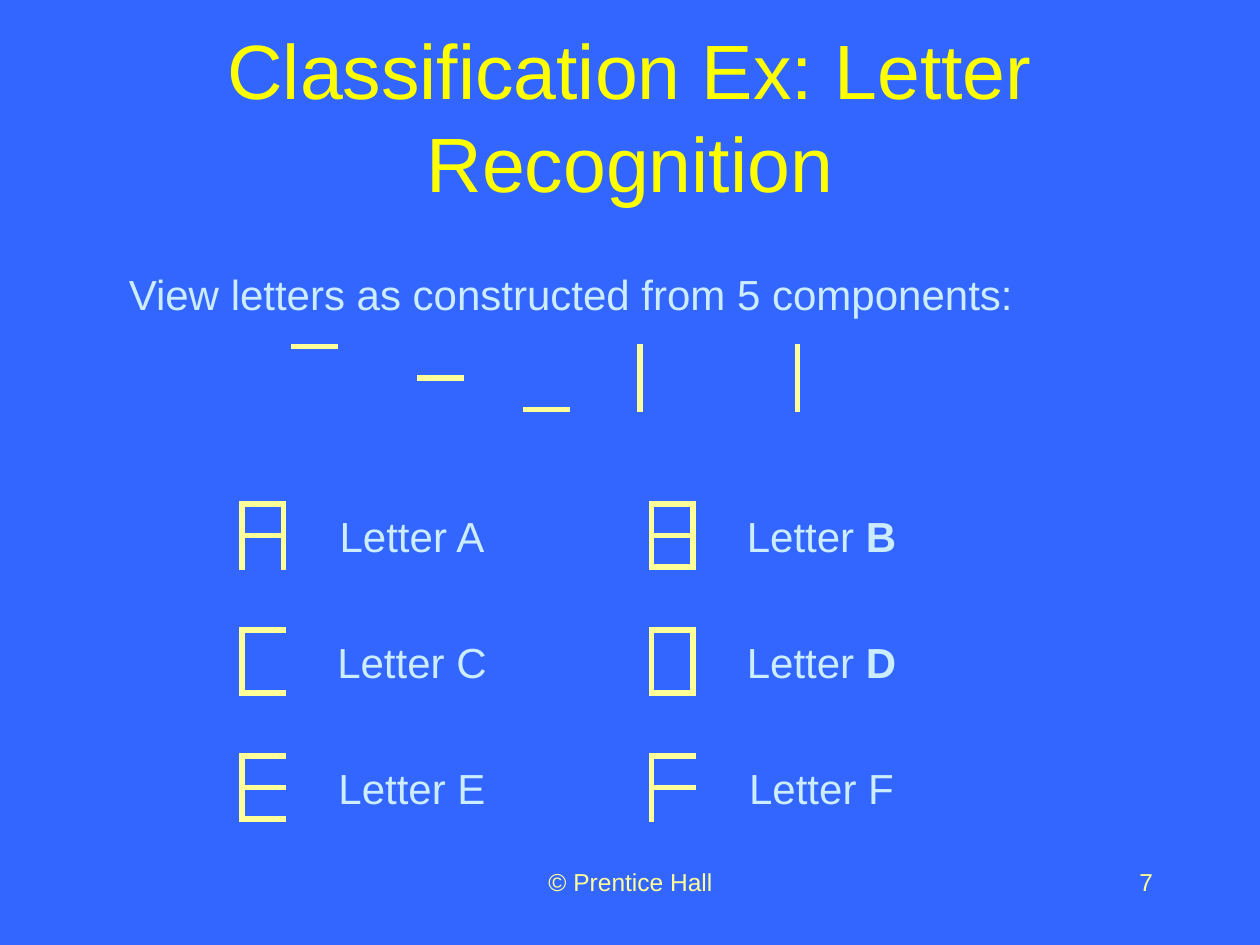
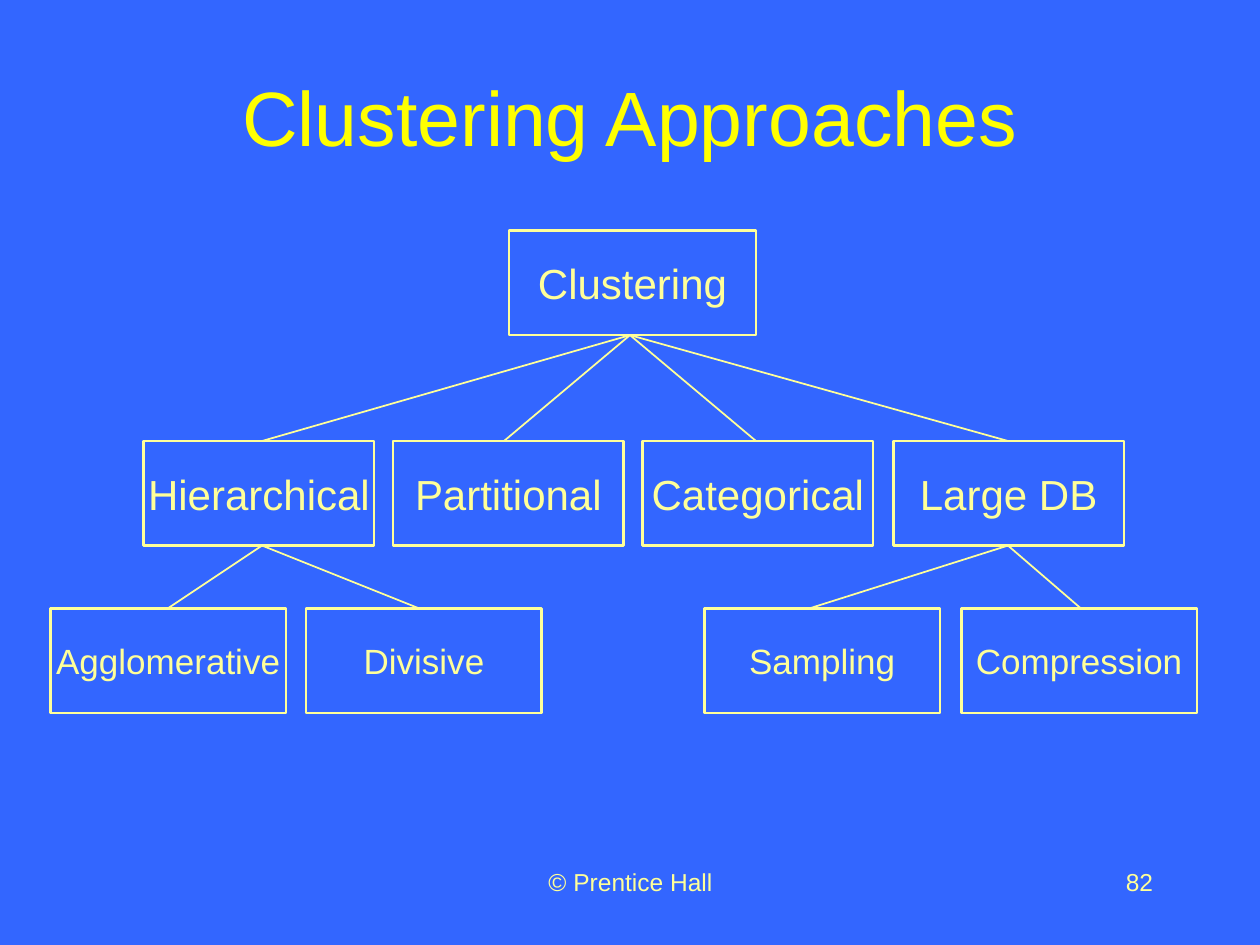
import pptx
import pptx.dml.color
import pptx.enum.shapes
import pptx.enum.text
import pptx.oxml
import pptx.oxml.ns
import pptx.util

# Content: letters built from strokes
LETTER_PAGE = {"title": "Classification Ex: Letter Recognition", "number": "7"}
INTRO = "View letters as constructed from 5 components:"
STROKES = {  # start and end, as shares of a letter's width and height
    "top": ((0, 0), (1, 0)),
    "middle": ((0, 0.5), (1, 0.5)),
    "bottom": ((0, 1), (1, 1)),
    "left": ((0, 0), (0, 1)),
    "right": ((1, 0), (1, 1)),
}
COMPONENT_LEFTS = {"top": 2.33, "middle": 3.33, "bottom": 4.17, "left": 5.08, "right": 6}
LETTERS = [  # letter, bold, strokes; two letters to a row
    ("A", False, "top middle left right"),
    ("B", True, "top middle bottom left right"),
    ("C", False, "top bottom left"),
    ("D", True, "top bottom left right"),
    ("E", False, "top middle bottom left"),
    ("F", False, "top middle left"),
]

# Content: tree of clustering approaches
TREE_PAGE = {"title": "Clustering Approaches", "number": "82"}
LEVELS = [  # top, box width, text size
    {"top": 1.83, "width": 1.96, "size": 24},
    {"top": 3.5, "width": 1.83, "size": 24},
    {"top": 4.83, "width": 1.87, "size": 20},
]
NODES = {  # name: (level, left, x where links join, parent)
    "Clustering": (0, 4.04, 5, None),
    "Hierarchical": (1, 1.14, 2.08, "Clustering"),
    "Partitional": (1, 3.12, 4, "Clustering"),
    "Categorical": (1, 5.1, 6, "Clustering"),
    "Large DB": (1, 7.09, 8, "Clustering"),
    "Agglomerative": (2, 0.4, 1.33, "Hierarchical"),
    "Divisive": (2, 2.43, 3.33, "Hierarchical"),
    "Sampling": (2, 5.59, 6.42, "Large DB"),
    "Compression": (2, 7.63, 8.58, "Large DB"),
}

# Shared look and measures
FOOTER = "© Prentice Hall"
FONT = "Arial"
BLUE, YELLOW, CREAM, PALE = "3366FF", "FFFF00", "FFFF99", "CCECFF"
LETTER_WIDTH, LETTER_HEIGHT = 0.33, 0.5
COMPONENT_TOP = 2.75
LETTER_LEFT, LETTER_TOP, COLUMN_STEP, ROW_STEP = 1.92, 4, 3.25, 1
LABEL_OFFSET, LABEL_WIDTH = 0.66, 1.38
NODE_HEIGHT = 0.83

inch = pptx.util.Inches
ALIGN = pptx.enum.text.PP_ALIGN
ANCHOR = pptx.enum.text.MSO_ANCHOR


def color(hex_value):
    return pptx.dml.color.RGBColor.from_string(hex_value)


def write(box, spans, size, ink, align=ALIGN.CENTER, **frame_format):
    """Fill a box with one paragraph made of (text, bold) spans."""
    frame = box.text_frame
    defaults = {"auto_size": pptx.enum.text.MSO_AUTO_SIZE.NONE, "word_wrap": True}
    for name, value in {**defaults, **frame_format}.items():
        setattr(frame, name, value)
    para = frame.paragraphs[0]
    para.alignment = align
    for text, bold in spans:
        span = para.add_run()
        span.text = text
        for name, value in {"name": FONT, "size": pptx.util.Pt(size), "bold": bold}.items():
            setattr(span.font, name, value)
        span.font.color.rgb = color(ink)


def add_text(page, place, spans, size, ink, **formats):
    box = page.shapes.add_textbox(*map(inch, place))
    write(box, spans, size, ink, **formats)


def add_line(page, start, end, width, cap="flat"):
    line = page.shapes.add_connector(
        pptx.enum.shapes.MSO_CONNECTOR.STRAIGHT, *map(inch, (*start, *end)))
    line.line.color.rgb = color(CREAM)
    line.line.width = pptx.util.Pt(width)
    properties = line.element.spPr
    properties.find(pptx.oxml.ns.qn("a:ln")).set("cap", cap)
    properties.append(pptx.oxml.parse_xml(
        f'<a:effectLst {pptx.oxml.ns.nsdecls("a")}/>'))


def add_page(deck, title, number):
    """Add a slide with background, title, footer and page number."""
    page = deck.slides.add_slide(deck.slide_layouts[5])
    page.background.fill.solid()
    page.background.fill.fore_color.rgb = color(BLUE)
    heading = page.shapes.title
    place = {"left": 0.75, "top": 0.25, "width": 8.5, "height": 1.33}
    for name, value in place.items():
        setattr(heading, name, inch(value))
    write(heading, [(title, False)], 44, YELLOW, vertical_anchor=ANCHOR.MIDDLE)
    add_text(page, (3.42, 6.83, 3.17, 0.5), [(FOOTER, False)], 14, CREAM)
    add_text(page, (7.17, 6.83, 2.08, 0.5), [(number, False)], 14, CREAM, align=ALIGN.RIGHT)
    return page


def draw_stroke(page, stroke, left, top):
    start, end = (
        (left + across * LETTER_WIDTH, top + down * LETTER_HEIGHT)
        for across, down in STROKES[stroke])
    add_line(page, start, end, 3, "sq")


def build_letters(deck):
    page = add_page(deck, **LETTER_PAGE)
    add_text(page, (0.92, 2.08, 7.22, 0.5), [(INTRO, False)], 24, PALE, word_wrap=False)
    for stroke, left in COMPONENT_LEFTS.items():
        draw_stroke(page, stroke, left, COMPONENT_TOP)
    for index, (letter, bold, strokes) in enumerate(LETTERS):
        row, column = divmod(index, 2)
        left = LETTER_LEFT + column * COLUMN_STEP
        top = LETTER_TOP + row * ROW_STEP
        for stroke in strokes.split():
            draw_stroke(page, stroke, left, top)
        add_text(page, (left + LABEL_OFFSET, top, LABEL_WIDTH, 0.5),
                 [("Letter ", False), (letter, bold)], 24, PALE, word_wrap=False)


def build_tree(deck):
    page = add_page(deck, **TREE_PAGE)
    for name, (depth, left, join, parent) in NODES.items():
        level = LEVELS[depth]
        box = page.shapes.add_shape(
            pptx.enum.shapes.MSO_SHAPE.RECTANGLE,
            *map(inch, (left, level["top"], level["width"], NODE_HEIGHT)))
        box.shadow.inherit = False
        box.fill.background()
        box.line.color.rgb = color(CREAM)
        box.line.width = pptx.util.Pt(1.5)
        write(box, [(name, False)], level["size"], CREAM, word_wrap=False,
              vertical_anchor=ANCHOR.MIDDLE, margin_left=0, margin_right=0)
        # Link to the parent's lower edge
        if parent:
            parent_depth, _, parent_join, _ = NODES[parent]
            parent_bottom = LEVELS[parent_depth]["top"] + NODE_HEIGHT
            add_line(page, (parent_join, parent_bottom), (join, level["top"]), 1)


def main():
    deck = pptx.Presentation()
    deck.slide_width, deck.slide_height = inch(10), inch(7.5)
    build_letters(deck)
    build_tree(deck)
    deck.save("out.pptx")


if __name__ == "__main__":
    main()
